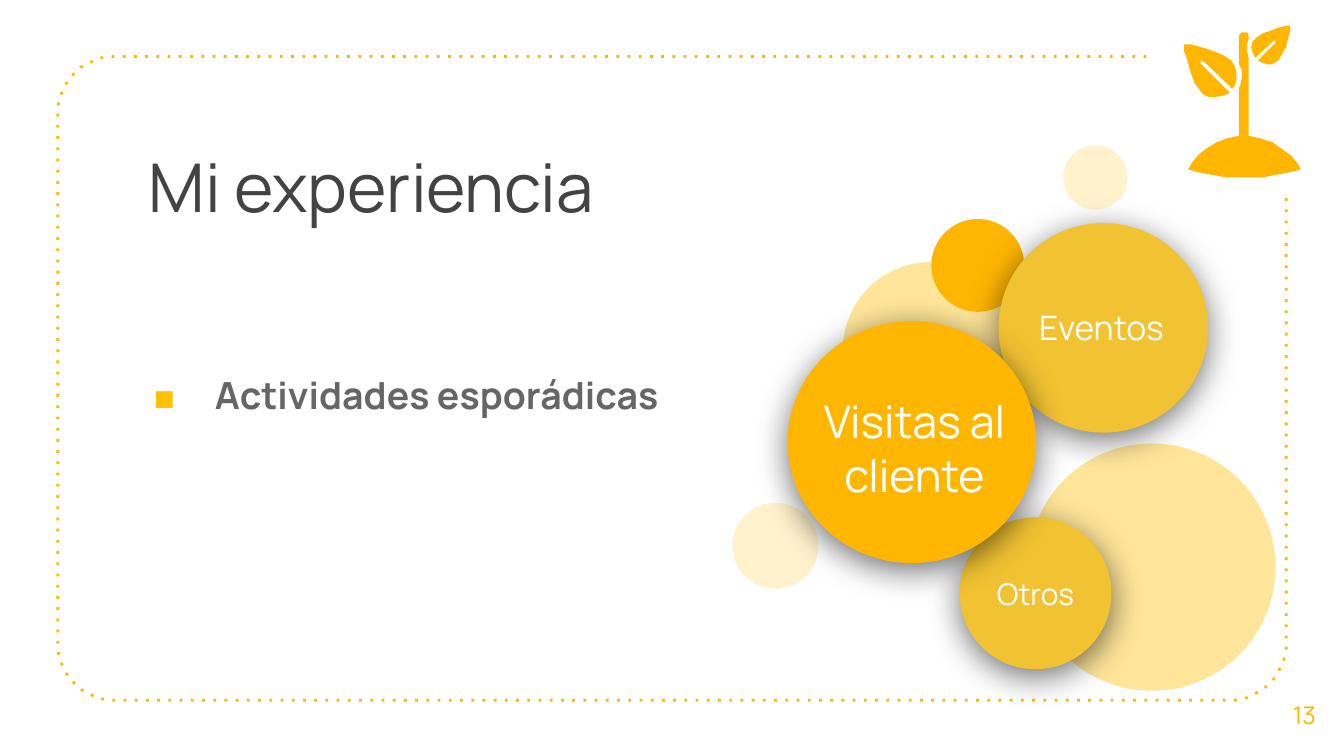
from math import cos, radians, sin

from lxml import etree
from pptx import Presentation
from pptx.dml.color import RGBColor
from pptx.enum import shapes, text
from pptx.oxml.ns import qn
from pptx.util import Pt

HUE = {"gold": "FFB600", "sand": "F1C232", "pale": "FFE599", "cream": "FFF2CC",
       "dark": "434343", "gray": "666666", "mark": "FFC000", "white": "FFFFFF", "black": "000000"}
FONT = "Manrope"

deck = Presentation()
deck.slide_width, deck.slide_height = Pt(720), Pt(405)
slide = deck.slides.add_slide(deck.slide_layouts[6])


def write(words, box, size, color, bold=False, center=False, tight=None):
    item = slide.shapes.add_textbox(*map(Pt, box))
    frame = item.text_frame
    frame.word_wrap = True
    frame.margin_left = frame.margin_right = frame.margin_top = frame.margin_bottom = Pt(7.2)
    para = frame.paragraphs[0]
    if center:
        frame.vertical_anchor = text.MSO_ANCHOR.MIDDLE
        para.alignment = text.PP_ALIGN.CENTER
    if tight:
        para.line_spacing = tight
    run = para.add_run()
    run.text = words
    run.font.name, run.font.size, run.font.bold = FONT, Pt(size), bold
    run.font.color.rgb = RGBColor.from_string(HUE[color])
    return para


def trace(parent, dots, close=True):
    pen = parent.build_freeform(*dots[0], scale=float(Pt(0.72)))
    pen.add_line_segments(dots[1:], close=close)
    form = pen.convert_to_shape()
    form.shadow.inherit = False
    if close:
        form.fill.solid()
        form.fill.fore_color.rgb = RGBColor.from_string(HUE["gold"])
        form.line.fill.background()
    else:
        form.fill.background()
        form.line.color.rgb = RGBColor.from_string(HUE["gold"])
        form.line.width = Pt(1.5)
    return form


left, top, right, base, bend = 43, 42, 957, 521, 42
edge = [(853, top)]
for x, y, start in [(left + bend, top + bend, 270), (left + bend, base - bend, 180),
                    (right - bend, base - bend, 90)]:
    for step in range(0, 91, 6):
        turn = radians(start - step)
        edge.append((x + bend * cos(turn), y + bend * sin(turn)))
edge.append((right, 146))
border = trace(slide.shapes, edge, close=False)
dash = etree.Element(qn("a:prstDash"), val="dot")
border.line.fill._xPr.find(qn("a:solidFill")).addnext(dash)

para = write("Actividades esporádicas", (36.72, 192.24, 597.6, 68.4), 20, "gray", bold=True)
para.space_before = Pt(6)
props = para._p.get_or_add_pPr()
props.set("marL", str(Pt(71.28)))
props.set("indent", str(Pt(-33.12)))
tint = etree.SubElement(props, qn("a:buClr"))
etree.SubElement(tint, qn("a:srgbClr"), val=HUE["mark"])
etree.SubElement(props, qn("a:buSzPct"), val="155000")
etree.SubElement(props, qn("a:buFont"), typeface=FONT)
etree.SubElement(props, qn("a:buChar"), char="▪")

write("Mi experiencia", (72.72, 70.56, 540.72, 67.68), 36, "dark")
write("13", (677.52, 361.44, 42.48, 43.2), 13, "gold", center=True)

small = [(959, 19), (953, 20), (945, 23), (939, 25), (935, 28), (932, 31), (931, 35), (932, 39),
         (934, 43), (947, 31), (948, 30), (949, 31), (949, 32), (936, 45), (940, 47), (944, 48),
         (948, 47), (951, 45), (953, 42), (955, 38), (957, 35), (958, 30), (960, 23), (960, 19)]
stem = [(926, 24), (924, 24), (922, 26), (922, 48), (924, 52), (924, 58), (923, 63), (922, 65),
        (922, 101), (913, 103), (905, 106), (897, 111), (891, 116), (887, 121), (884, 126),
        (891, 128), (901, 130), (913, 132), (926, 132), (939, 132), (950, 130), (960, 128),
        (968, 126), (965, 121), (961, 116), (954, 111), (947, 106), (938, 103), (929, 101),
        (929, 43), (928, 38), (928, 33), (929, 29), (929, 26), (928, 24)]
large = [(881, 33), (881, 38), (883, 43), (886, 54), (889, 62), (892, 66), (895, 70), (899, 72),
         (905, 72), (911, 71), (915, 69), (894, 48), (893, 47), (894, 45), (896, 46), (917, 66),
         (919, 63), (920, 60), (920, 53), (918, 48), (916, 45), (910, 41), (905, 39), (897, 36),
         (886, 33)]
plant = slide.shapes.add_group_shape()
for part in (small, stem, large):
    trace(plant.shapes, part)

discs = [(392.4, 269.28, 46.08, 46.08, "cream", False), (569.52, 77.76, 34.56, 34.56, "cream", False),
         (451.44, 140.4, 94.32, 94.32, "pale", False), (550.8, 237.6, 132.48, 132.48, "pale", False),
         (498.96, 117.36, 49.68, 49.68, "gold", False), (534.96, 119.52, 112.32, 112.32, "sand", True),
         (514.08, 277.2, 81.36, 81.36, "sand", True), (421.92, 172.08, 133.2, 129.6, "gold", True)]
for *box, color, lift in discs:
    disc = slide.shapes.add_shape(shapes.MSO_SHAPE.OVAL, *map(Pt, box))
    disc.shadow.inherit = False
    disc.fill.solid()
    disc.fill.fore_color.rgb = RGBColor.from_string(HUE[color])
    disc.line.fill.background()
    if lift:
        glow = etree.SubElement(disc._element.spPr.find(qn("a:effectLst")), qn("a:outerShdw"),
                                blurRad=str(Pt(18)), dist=str(Pt(4)), dir="5400000",
                                algn="bl", rotWithShape="0")
        shade = etree.SubElement(glow, qn("a:srgbClr"), val=HUE["black"])
        etree.SubElement(shade, qn("a:alpha"), val="55000")

for words, box, size in [("Eventos", (532.8, 138.24, 114.48, 74.16), 18),
                         ("Otros", (514.08, 285.12, 81.36, 65.52), 16),
                         ("Visitas al cliente", (430.56, 208.8, 118.8, 61.92), 24)]:
    write(words, box, size, "white", center=True)

deck.save("out.pptx")
